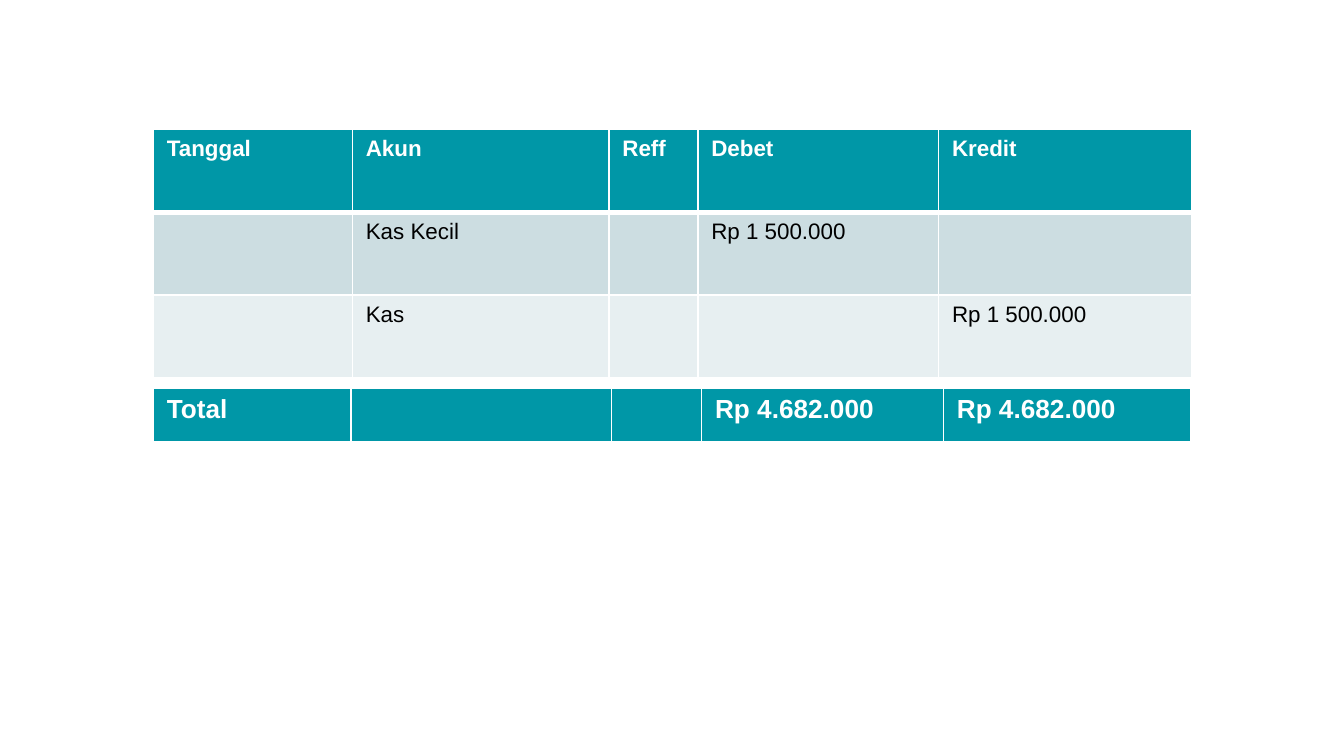
from dataclasses import dataclass

from lxml.etree import SubElement
from pptx import Presentation
from pptx.dml.color import RGBColor
from pptx.oxml.ns import qn
from pptx.util import Cm, Pt

COLORS = {
    "teal": "0097A7",
    "band_dark": "CCDDE1",
    "band_light": "E7EFF1",
    "white": "FFFFFF",
    "black": "000000",
}
TABLE_LEFT = 2.9
THIN, THICK = 1, 3


@dataclass
class RowStyle:
    fill: str
    text: str
    size: int
    bold: bool
    top: int = THIN
    bottom: int = THIN


@dataclass
class JournalTable:
    top: float
    row_height: float
    column_widths: list[float]
    rows: list[tuple[RowStyle, list[str]]]


def add_borders(cell, style: RowStyle) -> None:
    """Draw the white rules around a cell; call before setting its fill."""
    properties = cell._tc.get_or_add_tcPr()
    widths = {"lnL": THIN, "lnR": THIN, "lnT": style.top, "lnB": style.bottom}
    for side, width in widths.items():
        line = SubElement(properties, qn(f"a:{side}"), w=str(Pt(width)))
        fill = SubElement(line, qn("a:solidFill"))
        SubElement(fill, qn("a:srgbClr"), val=COLORS["white"])


def fill_cell(cell, text: str, style: RowStyle) -> None:
    add_borders(cell, style)
    cell.fill.solid()
    cell.fill.fore_color.rgb = RGBColor.from_string(COLORS[style.fill])
    cell.text = text
    font = cell.text_frame.paragraphs[0].font
    font.name = "Arial"
    font.size = Pt(style.size)
    font.bold = style.bold
    font.color.rgb = RGBColor.from_string(COLORS[style.text])


def draw_table(slide, journal: JournalTable) -> None:
    shape = slide.shapes.add_table(
        len(journal.rows), len(journal.column_widths),
        Cm(TABLE_LEFT), Cm(journal.top),
        Cm(sum(journal.column_widths)), Cm(journal.row_height * len(journal.rows)),
    )
    table = shape.table
    table.horz_banding = False
    for column, width in zip(table.columns, journal.column_widths):
        column.width = Cm(width)
    for row, (style, texts) in zip(table.rows, journal.rows):
        row.height = Cm(journal.row_height)
        for cell, text in zip(row.cells, texts):
            fill_cell(cell, text, style)


# Row styles
HEADER = RowStyle("teal", "white", 12, True, bottom=THICK)
FIRST_ENTRY = RowStyle("band_dark", "black", 12, False, top=THICK)
SECOND_ENTRY = RowStyle("band_light", "black", 12, False)
TOTAL = RowStyle("teal", "white", 14, True, bottom=THICK)

# Journal entries, then the separate totals strip
TABLES = [
    JournalTable(2.44, 1.57, [3.76, 4.85, 1.68, 4.55, 4.78], [
        (HEADER, ["Tanggal", "Akun", "Reff", "Debet", "Kredit"]),
        (FIRST_ENTRY, ["", "Kas Kecil", "", "Rp 1 500.000", ""]),
        (SECOND_ENTRY, ["", "Kas", "", "", "Rp 1 500.000"]),
    ]),
    JournalTable(7.34, 1.04, [3.73, 4.93, 1.7, 4.57, 4.67], [
        (TOTAL, ["Total", "", "", "Rp 4.682.000", "Rp 4.682.000"]),
    ]),
]


def main() -> None:
    presentation = Presentation()
    presentation.slide_width = Cm(25.4)
    presentation.slide_height = Cm(14.29)
    slide = presentation.slides.add_slide(presentation.slide_layouts[6])
    for journal in TABLES:
        draw_table(slide, journal)
    presentation.save("out.pptx")


if __name__ == "__main__":
    main()
